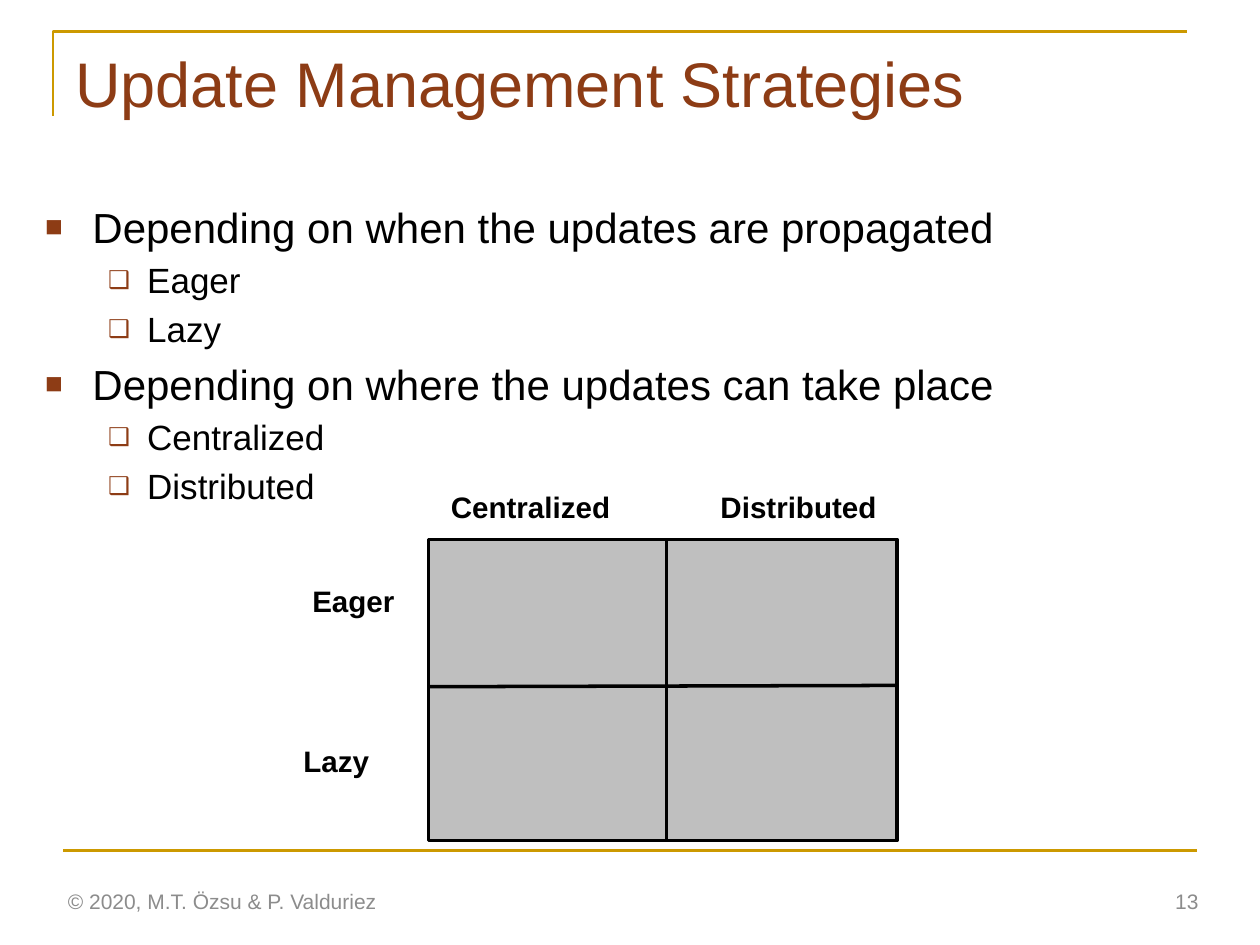
from lxml import etree
from pptx import Presentation
from pptx.dml.color import RGBColor
from pptx.enum.shapes import MSO_CONNECTOR, MSO_SHAPE
from pptx.enum.text import MSO_ANCHOR, MSO_AUTO_SIZE, PP_ALIGN
from pptx.oxml.ns import qn
from pptx.util import Inches, Pt

STRAIGHT, RECTANGLE = MSO_CONNECTOR.STRAIGHT, MSO_SHAPE.RECTANGLE
TOP, MIDDLE = MSO_ANCHOR.TOP, MSO_ANCHOR.MIDDLE
LEFT, RIGHT = PP_ALIGN.LEFT, PP_ALIGN.RIGHT
FIT_SHAPE = MSO_AUTO_SIZE.SHAPE_TO_FIT_TEXT
BROWN, GOLD, BLACK, GRAY, SILVER = "8D3C15", "CC9900", "000000", "8C8C8C", "BFBFBF"

presentation = Presentation()
presentation.slide_width, presentation.slide_height = Inches(10), Inches(7.5)
slide = presentation.slides.add_slide(presentation.slide_layouts[6])
shapes = slide.shapes
column = presentation.slide_width / 100
row = presentation.slide_height / 75


def color(value):
    return RGBColor.from_string(value)


def add_text(left, top, width, height, text, size, value, bold=False, align=LEFT, anchor=TOP, wrap=True):
    box = shapes.add_textbox(int(left * column), int(top * row), int(width * column), int(height * row))
    frame = box.text_frame
    frame.word_wrap, frame.vertical_anchor = wrap, anchor
    frame.text = text
    for paragraph in frame.paragraphs:
        paragraph.alignment = align
        font = paragraph.runs[0].font
        formats = {"name": "Arial", "size": Pt(size), "bold": bold}
        for name, setting in formats.items():
            setattr(font, name, setting)
        font.color.rgb = color(value)
    return frame


builder = shapes.build_freeform(int(4.2 * column), int(9.2 * row))
builder.add_line_segments(
    [(int(x * column), int(y * row)) for x, y in [(4.2, 2.5), (94.2, 2.5)]], close=False)
corner = builder.convert_to_shape()
corner.shadow.inherit = False
corner.fill.background()
corner.line.color.rgb = color(GOLD)
corner.line.width = Pt(1.5)

add_text(5, 3, 90, 12.5, "Update Management Strategies", 36, BROWN)

outline = [
    (0, "Depending on when the updates are propagated"),
    (1, "Eager"),
    (1, "Lazy"),
    (0, "Depending on where the updates can take place"),
    (1, "Centralized"),
    (1, "Distributed"),
]
levels = [(24, 3.75, -3.75, "■"), (20, 8.1, -3.1, "❑")]
body = add_text(2.6, 15.5, 94.5, 26.7, "\n".join(text for level, text in outline), 24, BLACK)
for paragraph, (level, text) in zip(body.paragraphs, outline):
    size, margin, indent, bullet = levels[level]
    paragraph.level = level
    paragraph.runs[0].font.size = Pt(size)
    properties = paragraph._p.get_or_add_pPr()
    properties.set("marL", str(int(margin * column)))
    properties.set("indent", str(int(indent * column)))
    spacing = etree.SubElement(properties, qn("a:spcBef"))
    etree.SubElement(spacing, qn("a:spcPct"), val="20000")
    bullet_color = etree.SubElement(properties, qn("a:buClr"))
    etree.SubElement(bullet_color, qn("a:srgbClr"), val=BROWN)
    etree.SubElement(properties, qn("a:buSzPct"), val="70000")
    etree.SubElement(properties, qn("a:buFont"), typeface="Arial")
    etree.SubElement(properties, qn("a:buChar"), char=bullet)

matrix = shapes.add_shape(
    RECTANGLE, int(34 * column), int(42.8 * row), int(37.2 * column), int(23.9 * row))
matrix.shadow.inherit = False
matrix.fill.solid()
matrix.fill.fore_color.rgb = color(SILVER)
matrix.line.color.rgb = color(BLACK)
matrix.line.width = Pt(2)

rules = [
    (5, 67.5, 95, 67.5, GOLD, 1.5),
    (52.9, 42.8, 52.9, 66.7, BLACK, 2),
    (34, 54.5, 71.3, 54.4, BLACK, 2),
]
for x1, y1, x2, y2, value, weight in rules:
    rule = shapes.add_connector(
        STRAIGHT, int(x1 * column), int(y1 * row), int(x2 * column), int(y2 * row))
    rule.line.color.rgb = color(value)
    rule.line.width = Pt(weight)
    etree.SubElement(rule._element.spPr, qn("a:effectLst"))

labels = [
    (23.8, 45.8, 8.8, "Eager"),
    (23.1, 58.5, 7.5, "Lazy"),
    (34.8, 38.3, 15, "Centralized"),
    (56.2, 38.3, 15, "Distributed"),
]
for left, top, width, text in labels:
    label = add_text(left, top, width, 3.9, text, 16.9, BLACK, bold=True, wrap=False)
    label.auto_size = FIT_SHAPE

add_text(73.6, 69.5, 22.5, 4, "13", 12, GRAY, align=RIGHT, anchor=MIDDLE)
add_text(4.4, 69.5, 33.8, 4, "© 2020, M.T. Özsu & P. Valduriez", 12, GRAY, anchor=MIDDLE)

presentation.save("out.pptx")
